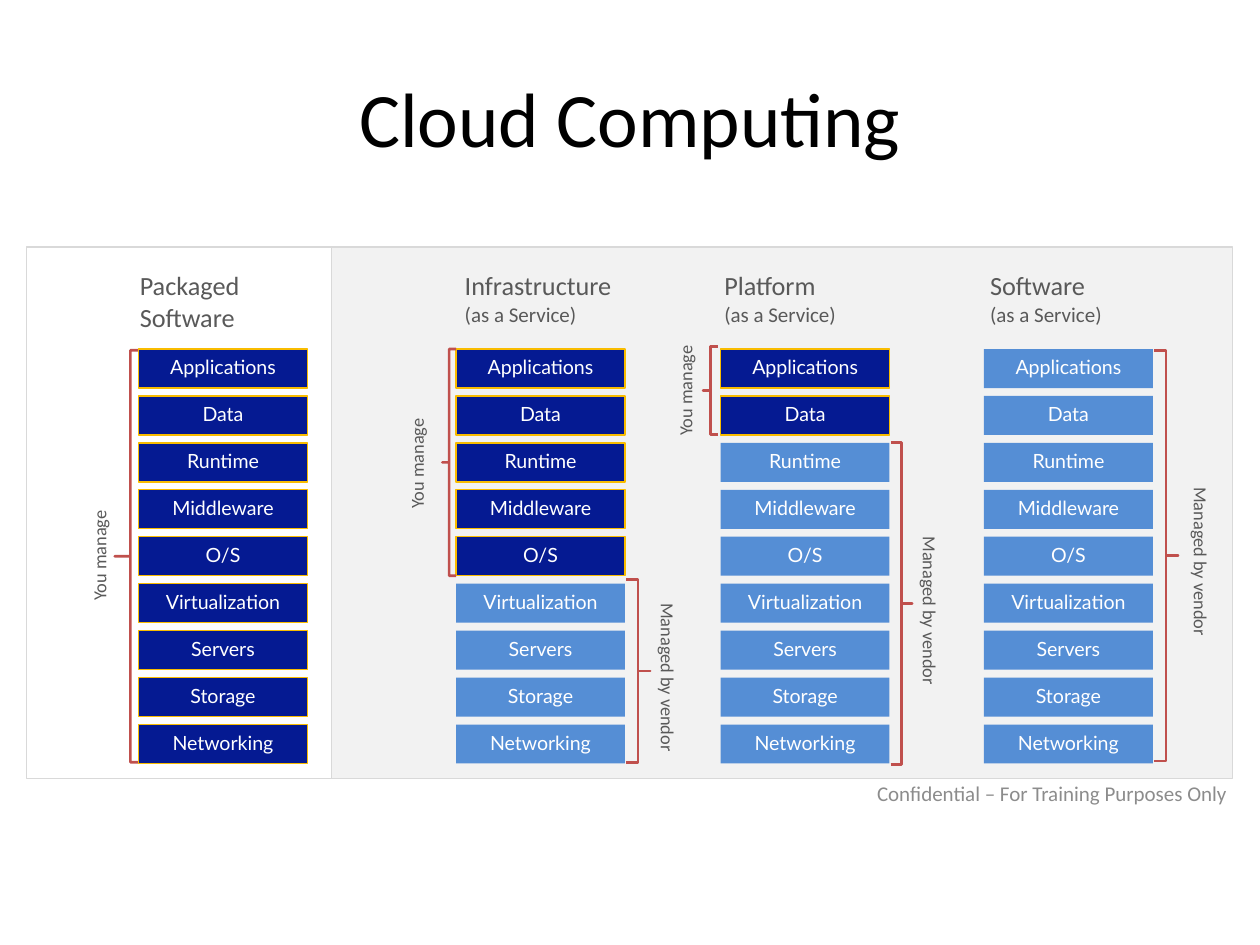
from dataclasses import dataclass

from pptx import Presentation
from pptx.dml.color import RGBColor
from pptx.enum.shapes import MSO_SHAPE
from pptx.enum.text import MSO_ANCHOR, MSO_AUTO_SIZE, PP_ALIGN
from pptx.util import Inches, Pt

RECT, BRACE = MSO_SHAPE.RECTANGLE, MSO_SHAPE.LEFT_BRACE
LEFT, CENTER = PP_ALIGN.LEFT, PP_ALIGN.CENTER
TOP, MIDDLE = MSO_ANCHOR.TOP, MSO_ANCHOR.MIDDLE
FIT = MSO_AUTO_SIZE.SHAPE_TO_FIT_TEXT
TITLE_ONLY = 5
COLS, ROWS = 100, 75  # grid laid over the whole slide


@dataclass(frozen=True)
class Theme:
    heading_font: str = "Calibri"
    box_font: str = "Lato"
    black: str = "000000"
    white: str = "FFFFFF"
    grey: str = "595959"
    footer: str = "8C8C8C"
    panel: str = "F2F2F2"
    border: str = "D9D9D9"
    yours: str = "051A92"
    yours_line: str = "F9BC00"
    vendor: str = "558ED5"
    brace: str = "C0504D"
    title_size: float = 44
    head_size: float = 15
    sub_size: float = 12
    box_size: float = 11.2
    label_size: float = 10.5
    thin: float = 0.75
    thick: float = 1.5


class Deck:
    def __init__(self, prs, theme):
        self.theme = theme
        self.s = prs.slides.add_slide(prs.slide_layouts[TITLE_ONLY])
        self.col, self.row = prs.slide_width / COLS, prs.slide_height / ROWS

    def place(self, x, y, w, h):
        return [int(v) for v in (x * self.col, y * self.row, w * self.col, h * self.row)]

    def set_text(self, tf, lines, align=LEFT, **frame):
        """Fill a text frame with (text, size, font, colour) lines."""
        for name, value in frame.items():
            setattr(tf, name, value)
        for i, (text, size, font, color) in enumerate(lines):
            p = tf.add_paragraph() if i else tf.paragraphs[0]
            p.alignment = align
            r = p.add_run()
            r.text = text
            for name, value in {"size": Pt(size), "name": font}.items():
                setattr(r.font, name, value)
            r.font.color.rgb = RGBColor.from_string(color)

    def title(self, text):
        t, sp = self.theme, self.s.shapes.title
        sp.left, sp.top, sp.width, sp.height = self.place(5, 3, 90, 12.5)
        self.set_text(sp.text_frame, [(text, t.title_size, t.heading_font, t.black)],
                      CENTER, vertical_anchor=MIDDLE)

    def shape(self, kind, at, fill=None, line=None, width=None):
        sp = self.s.shapes.add_shape(kind, *self.place(*at))
        sp.shadow.inherit = False
        if fill:
            sp.fill.solid()
            sp.fill.fore_color.rgb = RGBColor.from_string(fill)
        else:
            sp.fill.background()
        if line:
            sp.line.color.rgb = RGBColor.from_string(line)
            sp.line.width = Pt(width or self.theme.thin)
        else:
            sp.line.fill.background()
        return sp

    def box(self, text, at, yours):
        t = self.theme
        fill, line = (t.yours, t.yours_line) if yours else (t.vendor, None)
        sp = self.shape(RECT, at, fill, line)
        self.set_text(sp.text_frame, [(text, t.box_size, t.box_font, t.white)], CENTER,
                      vertical_anchor=TOP, word_wrap=True, margin_left=0, margin_right=0)

    def brace(self, at, mirrored):
        sp = self.shape(BRACE, at, line=self.theme.brace, width=self.theme.thick)
        sp.adjustments[0], sp.adjustments[1] = 0, 0.5
        if mirrored:
            sp.element.spPr.xfrm.set("flipH", "1")

    def text(self, at, lines, align=LEFT, **frame):
        sp = self.s.shapes.add_textbox(*self.place(*at))
        self.set_text(sp.text_frame, lines, align, **{"word_wrap": True, **frame})
        return sp

    def heading(self, at, name, sub, inset):
        t = self.theme
        lines = [(name, t.head_size, t.heading_font, t.grey)]
        if sub:
            lines.append((sub, t.sub_size, t.heading_font, t.grey))
        self.text(at, lines, margin_left=Inches(inset), margin_right=Inches(inset),
                  margin_top=0, margin_bottom=0)

    def side_label(self, at, text, direction):
        t = self.theme
        sp = self.text(at, [(text, t.label_size, t.heading_font, t.grey)], CENTER,
                       word_wrap=False, auto_size=FIT)
        sp.element.txBody.bodyPr.set("vert", direction)


LAYERS = ["Applications", "Data", "Runtime", "Middleware", "O/S",
          "Virtualization", "Servers", "Storage", "Networking"]
BOX_TOP, BOX_W, BOX_H, PITCH = 27.7, 13.4, 3.1, 3.725
SERVICE = "(as a Service)"

# name, subtitle, heading (x, width, inset), box x, layers you manage
STACKS = [
    ("Packaged Software", None, (11.1, 15.3, 0), 11, 9),
    ("Infrastructure", SERVICE, (35.9, 17.3, 0.1), 36.2, 5),
    ("Platform", SERVICE, (56.5, 16.4, 0.1), 57.2, 2),
    ("Software", SERVICE, (77.6, 16.6, 0.1), 78.1, 0),
]
PACKAGED_BRACE = (9.1, 27.8, 2.5, 32.7)
YOUR_BRACES = [(35.1, 27.7, 1.1, 18), (55.8, 27.5, 1.2, 7)]
VENDOR_BRACES = [(49.7, 46, 1.9, 14.5), (70.7, 35.1, 1.7, 25.6), (91.6, 27.8, 1.9, 32.6)]
YOUR_LABELS = [(6.5, 39.9), (31.7, 32.6), (53, 26.8)]
VENDOR_LABELS = [(50.6, 46.9), (71.4, 41.6), (92.9, 37.7)]


def main():
    prs = Presentation()
    prs.slide_width, prs.slide_height = Inches(10), Inches(7.5)
    t = Theme()
    deck = Deck(prs, t)
    deck.title("Cloud Computing")

    # Panels, with the first brace at the back
    deck.brace(PACKAGED_BRACE, False)
    deck.shape(RECT, (26.3, 19.6, 71.5, 42.2), t.panel, t.border)
    deck.shape(RECT, (2.1, 19.6, 24.2, 42.2), line=t.border)

    # Stacks of layers
    for name, sub, (x, w, inset), box_x, yours in STACKS:
        deck.heading((x, 21.4, w, 5.3), name, sub, inset)
        for i, layer in enumerate(LAYERS):
            deck.box(layer, (box_x, BOX_TOP + i * PITCH, BOX_W, BOX_H), i < yours)

    # Braces and their labels
    for braces, mirrored in ((YOUR_BRACES, False), (VENDOR_BRACES, True)):
        for at in braces:
            deck.brace(at, mirrored)
    for x, y in YOUR_LABELS:
        deck.side_label((x, y, 3.8, 8.4), "You manage", "vert270")
    for x, y in VENDOR_LABELS:
        deck.side_label((x, y, 3.8, 13), "Managed by vendor", "eaVert")

    # Footer note
    deck.text((67, 62.1, 33, 1.7),
              [("Confidential – For Training Purposes Only", t.sub_size, t.heading_font, t.footer)],
              CENTER, vertical_anchor=MIDDLE)
    prs.save("out.pptx")


if __name__ == "__main__":
    main()
